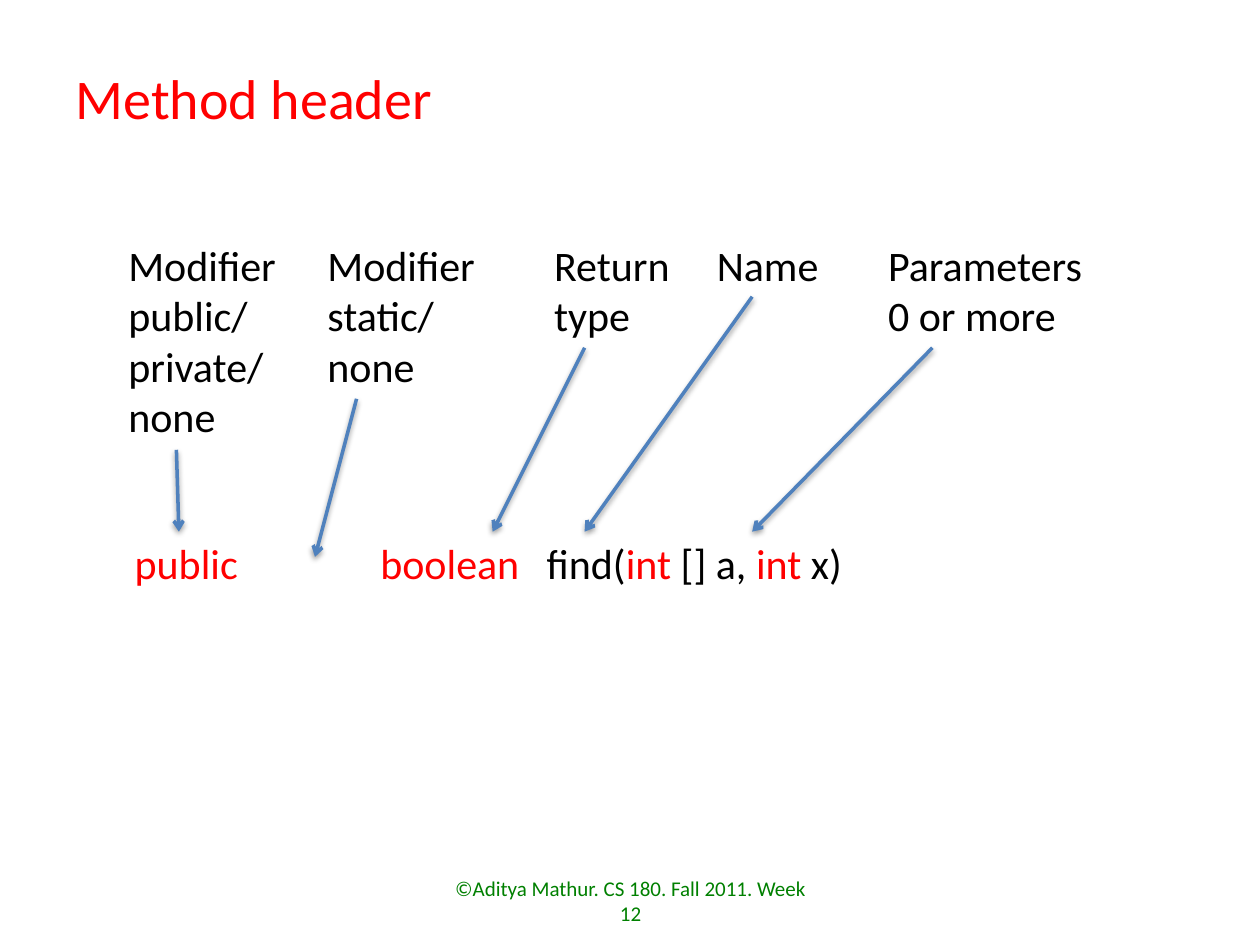
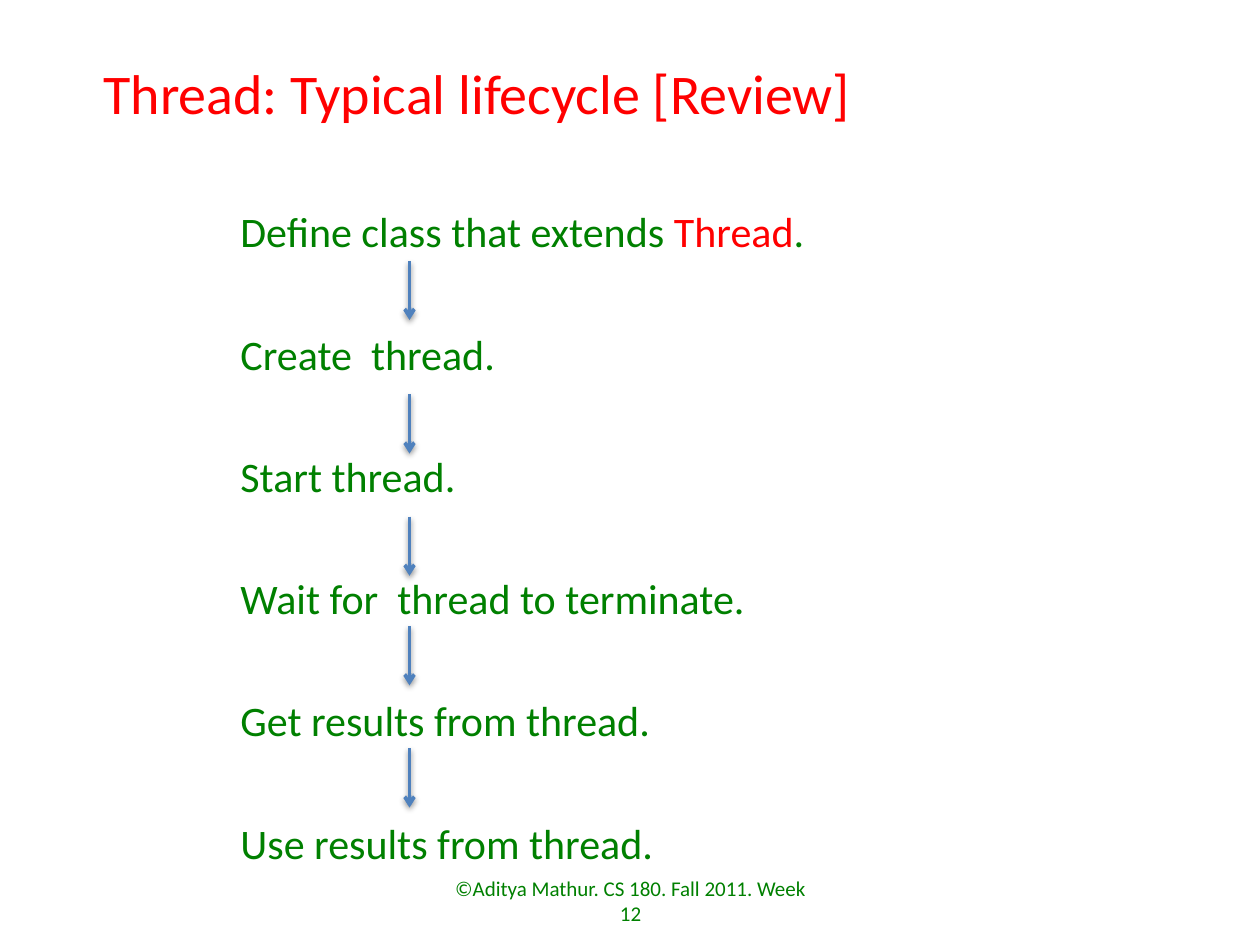
"""Builds two course slides on a method header and the thread lifecycle."""
from lxml import etree
from pptx import Presentation
from pptx.dml.color import RGBColor
from pptx.enum.shapes import MSO_CONNECTOR
from pptx.enum.text import MSO_ANCHOR, PP_ALIGN
from pptx.oxml import parse_xml
from pptx.oxml.ns import nsdecls, qn
from pptx.util import Inches, Pt

LINE = MSO_CONNECTOR.STRAIGHT
TOP, MIDDLE = MSO_ANCHOR.TOP, MSO_ANCHOR.MIDDLE
LEFT, CENTER = PP_ALIGN.LEFT, PP_ALIGN.CENTER
TITLE_ONLY = 5

HUES = {"red": "FF0000", "green": "008000", "black": "000000", "blue": "4F81BD"}
FONTS = {
    "title": {"name": "Calibri", "size": Pt(32), "bold": False},
    "body": {"name": "Calibri", "size": Pt(24)},
    "foot": {"name": "Calibri", "size": Pt(12)},
}
FOOTER = "©Aditya Mathur. CS 180. Fall 2011. Week 12"
SHADOW = (
    f'<a:effectLst {nsdecls("a")}><a:outerShdw blurRad="40000" dist="20000" '
    'dir="5400000" rotWithShape="0"><a:srgbClr val="000000">'
    '<a:alpha val="38000"/></a:srgbClr></a:outerShdw></a:effectLst>'
)


class Deck:
    """Holds the style and the current slide."""

    def __init__(self):
        self.prs = Presentation()
        self.prs.slide_width, self.prs.slide_height = Inches(10), Inches(7.5)
        self.slide = None

    def hue(self, name):
        return RGBColor.from_string(HUES[name])

    def fill(self, para, runs, font):
        for text, hue in runs:
            run = para.add_run()
            run.text = text
            for key, value in FONTS[font].items():
                setattr(run.font, key, value)
            run.font.color.rgb = self.hue(hue)

    def start(self, title, left, top, height):
        layout = self.prs.slide_layouts[TITLE_ONLY]
        self.slide = self.prs.slides.add_slide(layout)
        box = self.slide.shapes.title
        box.left, box.top = Inches(left), Inches(top)
        box.width, box.height = Inches(7.92), Inches(height)
        box.text_frame.vertical_anchor = TOP
        para = box.text_frame.paragraphs[0]
        para.alignment, para.line_spacing = LEFT, Pt(38)
        self.fill(para, [(title, "red")], "title")
        self.text((3.42, 6.95, 3.17, 0.4), [[(FOOTER, "green")]],
                  "foot", MIDDLE, alignment=CENTER)

    def text(self, area, lines, font="body", anchor=TOP, tabs=(), **style):
        box = self.slide.shapes.add_textbox(*map(Inches, area))
        frame = box.text_frame
        frame.word_wrap, frame.vertical_anchor = True, anchor
        for i, runs in enumerate(lines):
            para = frame.add_paragraph() if i else frame.paragraphs[0]
            if tabs:
                stops = etree.SubElement(para._p.get_or_add_pPr(), qn("a:tabLst"))
                for stop in tabs:
                    etree.SubElement(stops, qn("a:tab"), pos=str(Inches(stop)), algn="l")
            for key, value in style.items():
                setattr(para, key, value)
            self.fill(para, runs, font)

    def arrow(self, *ends):
        link = self.slide.shapes.add_connector(LINE, *map(Inches, ends))
        link.line.color.rgb = self.hue("blue")
        link.line.width = Pt(2)
        etree.SubElement(link.line._get_or_add_ln(), qn("a:tailEnd"), type="arrow")
        link._element.spPr.append(parse_xml(SHADOW))


def header(deck):
    deck.start("Method header", 0.5, 0.46, 1.07)
    top, row = 1.85, 0.405
    parts = [
        (0.92, 1.38, ["Modifier", "public/", "private/", "none"], 1.4, 1.42, 4.22),
        (2.5, 1.38, ["Modifier", "static/", "none"], 2.83, 2.5, 4.42),
        (4.3, 1.13, ["Return", "type"], 4.64, 3.91, 4.22),
        (5.59, 1.02, ["Name"], 5.97, 4.64, 4.22),
        (6.95, 1.76, ["Parameters", "0 or more"], 7.4, 5.97, 4.22),
    ]
    for left, width, words, tail, tip, low in parts:
        height = 0.1 + row * len(words)
        deck.text((left, top, width, height), [[(word, "black")] for word in words])
        deck.arrow(tail, top + height, tip, low)
    code = [("public\tboolean\t", "red"), ("find(", "black"), ("int", "red"),
            (" [] a, ", "black"), ("int ", "red"), ("x)", "black")]
    deck.text((0.97, 4.22, 5.88, 0.5), [code], tabs=(1.95, 3.27))


def cycle(deck):
    deck.start("Thread: Typical lifecycle [Review]", 0.72, 0.42, 0.67)
    steps = [
        [("Define class that extends ", "green"), ("Thread", "red"), (".", "green")],
        [("Create  thread.", "green")],
        [("Start thread.", "green")],
        [("Wait for  thread to terminate.", "green")],
        [("Get results from thread.", "green")],
        [("Use results from thread.", "green")],
    ]
    for i, runs in enumerate(steps):
        deck.text((1.81, 1.43 + 0.97 * i, 5.51, 0.64), [runs], line_spacing=Pt(40))
    for top in (2.07, 3.13, 4.1, 4.97, 5.94):
        deck.arrow(3.25, top, 3.25, top + 0.47)


def main():
    deck = Deck()
    header(deck)
    cycle(deck)
    deck.prs.save("out.pptx")


if __name__ == "__main__":
    main()
